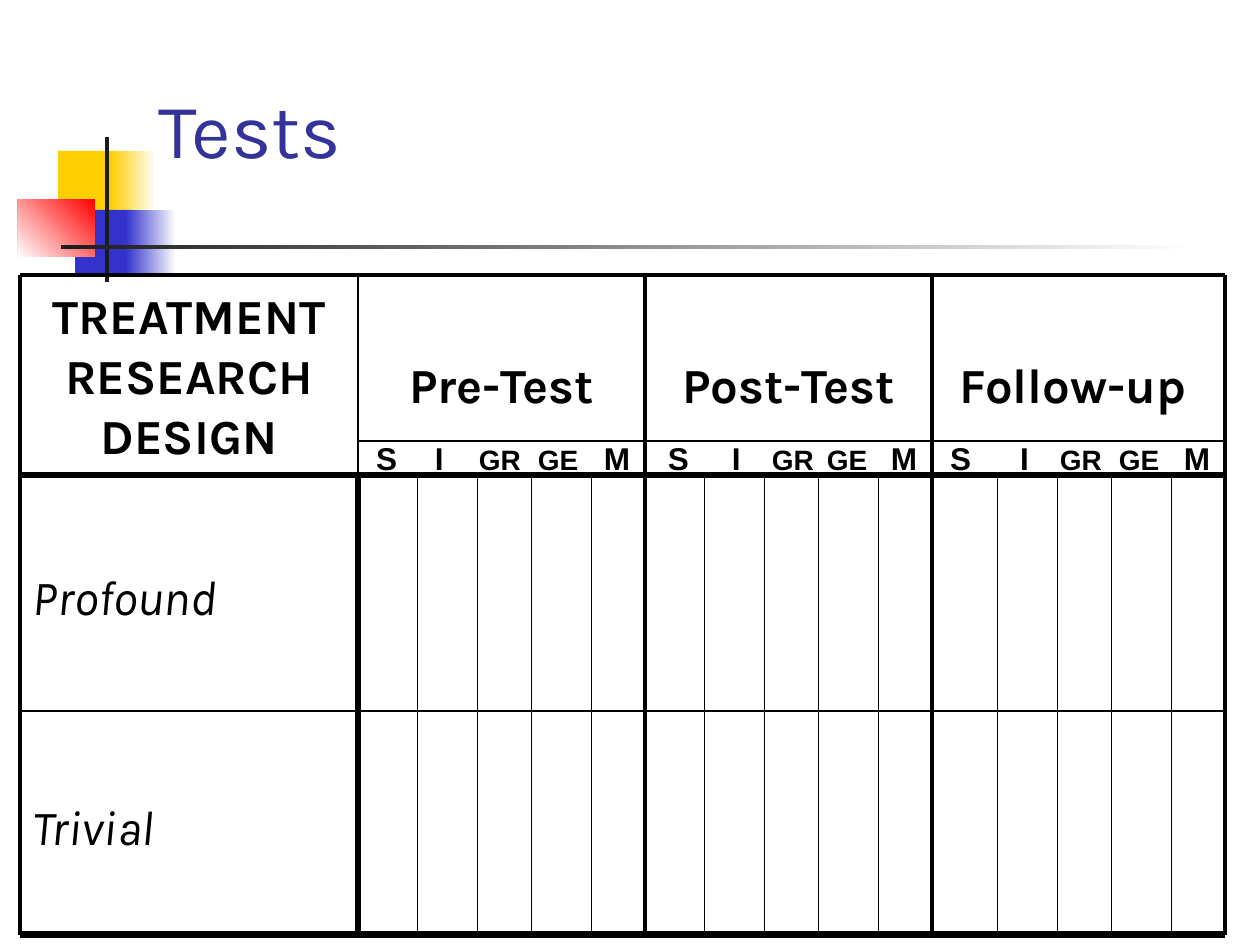
from dataclasses import dataclass
from itertools import accumulate

import pptx
import pptx.dml.color
import pptx.enum.shapes
import pptx.enum.text
import pptx.oxml.ns
import pptx.oxml.xmlchemy
import pptx.util

Align = pptx.enum.text.PP_ALIGN
Anchor = pptx.enum.text.MSO_ANCHOR


@dataclass(frozen=True)
class Theme:
    face: str = "Karla"
    label: str = "Arial"
    ink: str = "000000"
    title: str = "333399"
    white: str = "FFFFFF"
    gold: str = "FFCF01"
    blue: str = "3333CC"
    red: str = "FF0000"
    dark: str = "1C1C1C"
    big: int = 44
    head: int = 28
    small: int = 18
    tiny: int = 16


THEME = Theme()

# Grid in px
LEFT, RIGHT = 20, 1225
TOP, MARK, BODY, MID, BASE = 275, 441, 475, 711, 935
STARTS = [358, 645, 932]
FIRSTS = [59, 59, 65]
STEPS = [60, 54, 60, 54]

# Content, with the left of each mark's box
TESTS = {"Pre-Test": 287, "Post-Test": 287, "Follow-up": 282}
MARKS = {"S": 45, "I": 34, "GR": 74, "GE": 74, "M": 50}
PLACES = [
    (363, 422, 466, 525, 591),
    (655, 719, 759, 814, 878),
    (937, 1007, 1047, 1106, 1171),
]
LEVELS = {"Profound": (BODY, MID), "Trivial": (MID, BASE)}


def px(n):
    return pptx.util.Emu(round(n * 914400 / 126))


def rgb(code):
    return pptx.dml.color.RGBColor.from_string(code)


def block(slide, box, first, last=None, angle=0):
    """Rectangle in one colour, or fading from first to last."""
    kind = pptx.enum.shapes.MSO_SHAPE.RECTANGLE
    shape = slide.shapes.add_shape(kind, *map(px, box))
    shape.shadow.inherit = False
    shape.line.fill.background()
    if last is None:
        shape.fill.solid()
        shape.fill.fore_color.rgb = rgb(first)
        return
    shape.fill.gradient()
    shape.fill.gradient_angle = angle
    for stop, code in zip(shape.fill.gradient_stops, (first, last)):
        stop.color.rgb = rgb(code)


def rule(slide, x1, y1, x2, y2, weight):
    """Straight black line, weight in pt."""
    kind = pptx.enum.shapes.MSO_CONNECTOR.STRAIGHT
    line = slide.shapes.add_connector(kind, *map(px, (x1, y1, x2, y2)))
    line.line.color.rgb = rgb(THEME.ink)
    line.line.width = pptx.util.Pt(weight)
    props = line._element.spPr
    props.append(props.makeelement(pptx.oxml.ns.qn("a:effectLst"), {}))


def words(slide, box, text, size, color=THEME.ink, face=THEME.face,
          bold=False, slant=False, align=Align.LEFT, anchor=Anchor.TOP,
          inset=(13, 6, 13, 6), wrap=True, space=None):
    """Text box with one paragraph."""
    frame = slide.shapes.add_textbox(*map(px, box)).text_frame
    frame.word_wrap = wrap
    frame.vertical_anchor = anchor
    frame.margin_left, frame.margin_top = px(inset[0]), px(inset[1])
    frame.margin_right, frame.margin_bottom = px(inset[2]), px(inset[3])
    frame.text = text
    para = frame.paragraphs[0]
    para.alignment = align
    if space:
        para.line_spacing = space
    font = para.font
    font.name, font.size = face, pptx.util.Pt(size)
    font.bold, font.italic = bold, slant
    font.color.rgb = rgb(color)


def decor(slide):
    t = THEME
    block(slide, (58, 151, 60, 66), t.gold)
    block(slide, (111, 151, 45, 66), t.white, t.gold, 180)
    block(slide, (75, 210, 58, 65), t.blue)
    block(slide, (126, 210, 50, 65), t.white, t.blue, 180)
    block(slide, (18, 199, 77, 58), t.red, t.white, 225)
    block(slide, (105, 137, 4, 145), t.dark)
    block(slide, (61, 245, 1134, 4), t.white, t.dark, 180)


def heads(slide):
    # Row heads
    side = STARTS[0] - LEFT
    for name, (top, end) in LEVELS.items():
        words(slide, (LEFT, top, side, end - top), name, THEME.head,
              slant=True, anchor=Anchor.MIDDLE, inset=(13, 12, 13, 6))

    # Corner and test heads
    words(slide, (LEFT, TOP, side, BODY - TOP), "TREATMENT RESEARCH DESIGN",
          THEME.head, bold=True, align=Align.CENTER, inset=(13, 9, 13, 6),
          space=1.02)
    for x, (test, width) in zip(STARTS, TESTS.items()):
        words(slide, (x, TOP, width, MARK - TOP), test, THEME.head, bold=True,
              align=Align.CENTER, anchor=Anchor.BOTTOM, inset=(13, 6, 13, 28))


def rules(slide):
    # Across
    for y, weight in ((TOP, 2.25), (BODY, 3), (MID, 1), (BASE, 4)):
        rule(slide, LEFT, y, RIGHT, y, weight)
    rule(slide, STARTS[0], MARK, RIGHT, MARK, 0.75)

    # Down
    rule(slide, STARTS[0], TOP, STARTS[0], BODY, 1)
    rule(slide, STARTS[0], BODY, STARTS[0], BASE, 3)
    for x in (LEFT, *STARTS[1:], RIGHT):
        rule(slide, x, TOP, x, BASE, 2.25)

    # Fine columns inside each test
    for start, first in zip(STARTS, FIRSTS):
        if start != STARTS[0]:
            rule(slide, start, BODY, start, BASE, 0.28)
        for x in accumulate(STEPS[:-1], initial=start + first):
            rule(slide, x, BODY, x, BASE, 0.28)


def marks(slide):
    for places in PLACES:
        for x, (mark, width) in zip(places, MARKS.items()):
            short = len(mark) == 1
            top, height = (445, 49) if short else (447, 45)
            size = THEME.small if short else THEME.tiny
            words(slide, (x, top, width, height), mark, size, face=THEME.label,
                  bold=True, wrap=not short, space=0.66)


def main():
    deck = pptx.Presentation()
    deck.slide_width, deck.slide_height = px(1260), px(945)
    slide = deck.slides.add_slide(deck.slide_layouts[6])
    decor(slide)
    heads(slide)
    rules(slide)
    marks(slide)
    words(slide, (159, 24, 1072, 207), "Tests", THEME.big, THEME.title,
          anchor=Anchor.MIDDLE, inset=(0, 0, 0, 0))
    deck.save("out.pptx")


if __name__ == "__main__":
    main()
